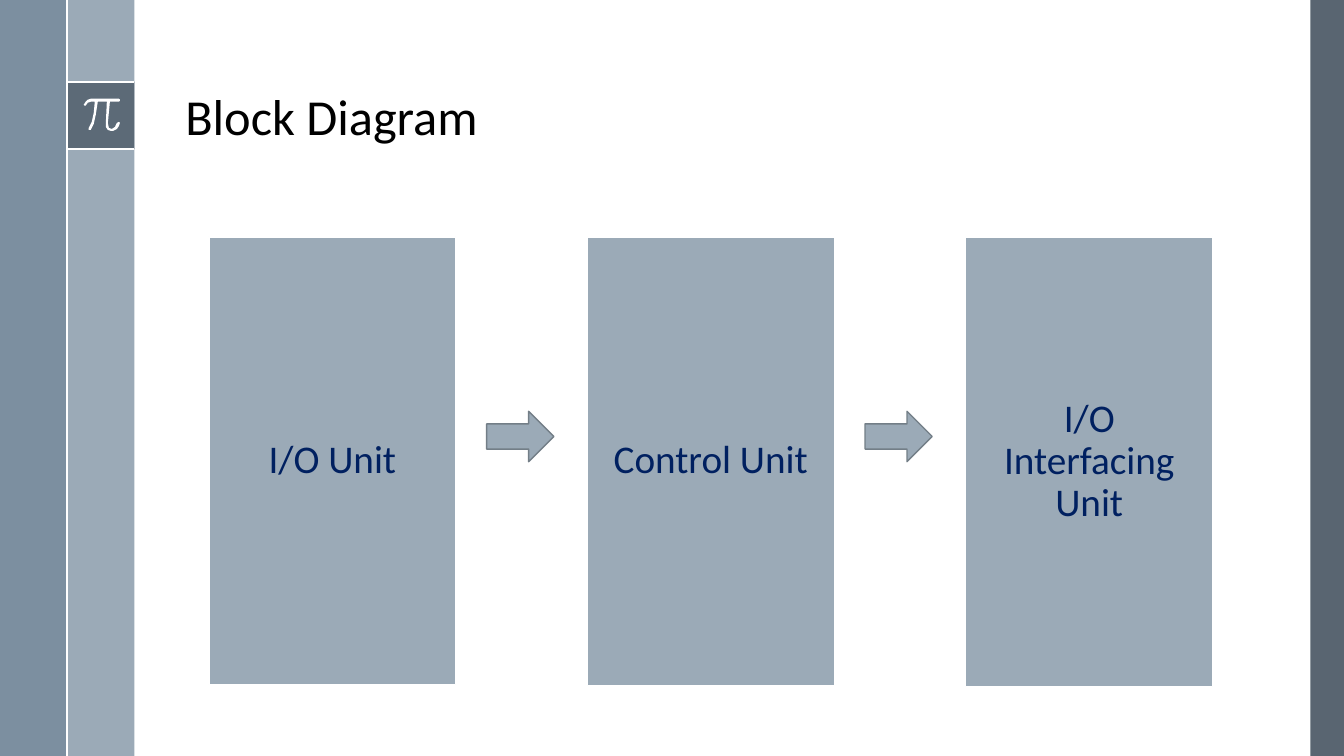
"""Build the block diagram slide."""
from lxml import etree
from pptx import Presentation
from pptx import util as u
from pptx.dml.color import RGBColor
from pptx.enum import shapes, text
from pptx.oxml import ns

WHITE = RGBColor(0xFF, 0xFF, 0xFF)
BLACK = RGBColor(0x00, 0x00, 0x00)
SLATE = RGBColor(0x47, 0x55, 0x62)
STEEL = RGBColor(0x6A, 0x80, 0x93)
MIST = RGBColor(0x9B, 0xAA, 0xB7)
ARROW_EDGE = RGBColor(0x73, 0x7E, 0x87)
NAVY = RGBColor(0x00, 0x20, 0x60)

SLIDE_W, SLIDE_H = 960, 540
BAR = 48
BADGE_TOP = 58.3
BLOCKS = ["I/O Unit", "Control Unit", "I/O Interfacing Unit"]
BLOCK_LEFT, BLOCK_TOP, BLOCK_W, BLOCK_H = 149.2, 169.2, 176.4, 319.7
STEP = 270.3
ARROW_LEFT, ARROW_TOP, ARROW_W, ARROW_H = 347.6, 293.8, 48, 36

PI_OUTLINE = [
    (35, 0), (7, 0), (4, 1), (2, 3), (0, 6), (1, 7), (2, 7), (4, 4), (7, 3),
    (11, 3), (10, 14), (8, 23), (5, 29), (5, 31), (6, 31), (7, 31), (10, 25),
    (12, 16), (14, 3), (23, 3), (22, 24), (22, 28), (24, 31), (27, 32),
    (29, 32), (33, 30), (35, 27), (36, 24), (35, 23), (33, 24), (31, 28),
    (28, 30), (25, 29), (24, 24), (26, 3), (35, 3), (36, 2), (36, 1),
]


def apply_format(target, values):
    """Set every attribute named in the dict."""
    for name, value in values.items():
        setattr(target, name, value)


def paint(shape, fill, opacity=100, edge=None):
    """Give a shape a flat fill and an optional 1 pt outline."""
    shape.shadow.inherit = False
    shape.fill.solid()
    shape.fill.fore_color.rgb = fill
    if opacity < 100:
        color = shape.fill._xPr.find(".//" + ns.qn("a:srgbClr"))
        etree.SubElement(color, ns.qn("a:alpha"), val=str(opacity * 1000))
    if edge is None:
        shape.line.fill.background()
    else:
        shape.line.color.rgb = edge
        shape.line.width = u.Pt(1)


def add_figure(slide, kind, box, fill, opacity=100, edge=None):
    """Add a painted preset shape at a box given in points."""
    figure = slide.shapes.add_shape(kind, *map(u.Pt, box))
    paint(figure, fill, opacity, edge)
    return figure


def add_rule(slide, *ends):
    """Add a thin white line."""
    rule = slide.shapes.add_connector(shapes.MSO_CONNECTOR.STRAIGHT, *map(u.Pt, ends))
    rule.line.color.rgb = WHITE
    rule.line.width = u.Pt(1.5)
    etree.SubElement(rule._element.spPr, ns.qn("a:effectLst"))


def write(shape, words, size, color, align, anchor, inset):
    """Write one paragraph into a shape."""
    frame = shape.text_frame
    margin = u.Pt(inset)
    apply_format(frame, {
        "word_wrap": True, "vertical_anchor": anchor,
        "margin_left": margin, "margin_right": margin,
        "margin_top": margin, "margin_bottom": margin,
    })
    paragraph = frame.paragraphs[0]
    apply_format(paragraph, {"alignment": align, "line_spacing": 0.9})
    run = paragraph.add_run()
    run.text = words
    apply_format(run.font, {"name": "Calibri", "size": u.Pt(size)})
    run.font.color.rgb = color


def add_pi(slide, left, top):
    """Draw the pi sign in the badge."""
    builder = slide.shapes.build_freeform(*PI_OUTLINE[0], scale=u.Pt(0.72))
    builder.add_line_segments(PI_OUTLINE[1:], close=True)
    paint(builder.convert_to_shape(u.Pt(left), u.Pt(top)), WHITE)


def add_frame(slide):
    """Add the side bars, badge and white rules."""
    for box, fill, opacity in [
        ((936, 0, 24, SLIDE_H), SLATE, 90),
        ((BAR, 0, BAR, SLIDE_H), MIST, 100),
        ((0, 0, BAR, SLIDE_H), STEEL, 88),
        ((BAR, BADGE_TOP, BAR, BAR), SLATE, 75),
    ]:
        add_figure(slide, shapes.MSO_SHAPE.RECTANGLE, box, fill, opacity)
    for y in (BADGE_TOP, BADGE_TOP + BAR):
        add_rule(slide, BAR, y, 2 * BAR, y)
    add_pi(slide, 59.8, 70.5)
    add_rule(slide, BAR, 0, BAR, SLIDE_H)


def add_diagram(slide):
    """Add the three blocks and the arrows between them."""
    for i, label in enumerate(BLOCKS):
        box = (BLOCK_LEFT + i * STEP, BLOCK_TOP, BLOCK_W, BLOCK_H + 0.7 * i)
        block = add_figure(slide, shapes.MSO_SHAPE.RECTANGLE, box, MIST, edge=WHITE)
        write(block, label, 28, NAVY, text.PP_ALIGN.CENTER, text.MSO_ANCHOR.MIDDLE, 8.6)
    for i in range(len(BLOCKS) - 1):
        box = (ARROW_LEFT + i * STEP, ARROW_TOP, ARROW_W, ARROW_H)
        add_figure(slide, shapes.MSO_SHAPE.RIGHT_ARROW, box, MIST, edge=ARROW_EDGE)


def main():
    """Build and save the slide."""
    deck = Presentation()
    apply_format(deck, {"slide_width": u.Pt(SLIDE_W), "slide_height": u.Pt(SLIDE_H)})
    slide = deck.slides.add_slide(deck.slide_layouts[6])
    add_frame(slide)
    title = slide.shapes.add_textbox(*map(u.Pt, (125.3, 13.7, 770.4, 97.9)))
    write(title, "Block Diagram", 36, BLACK, text.PP_ALIGN.LEFT, text.MSO_ANCHOR.BOTTOM, 7.2)
    add_diagram(slide)
    deck.save("out.pptx")


if __name__ == "__main__":
    main()
